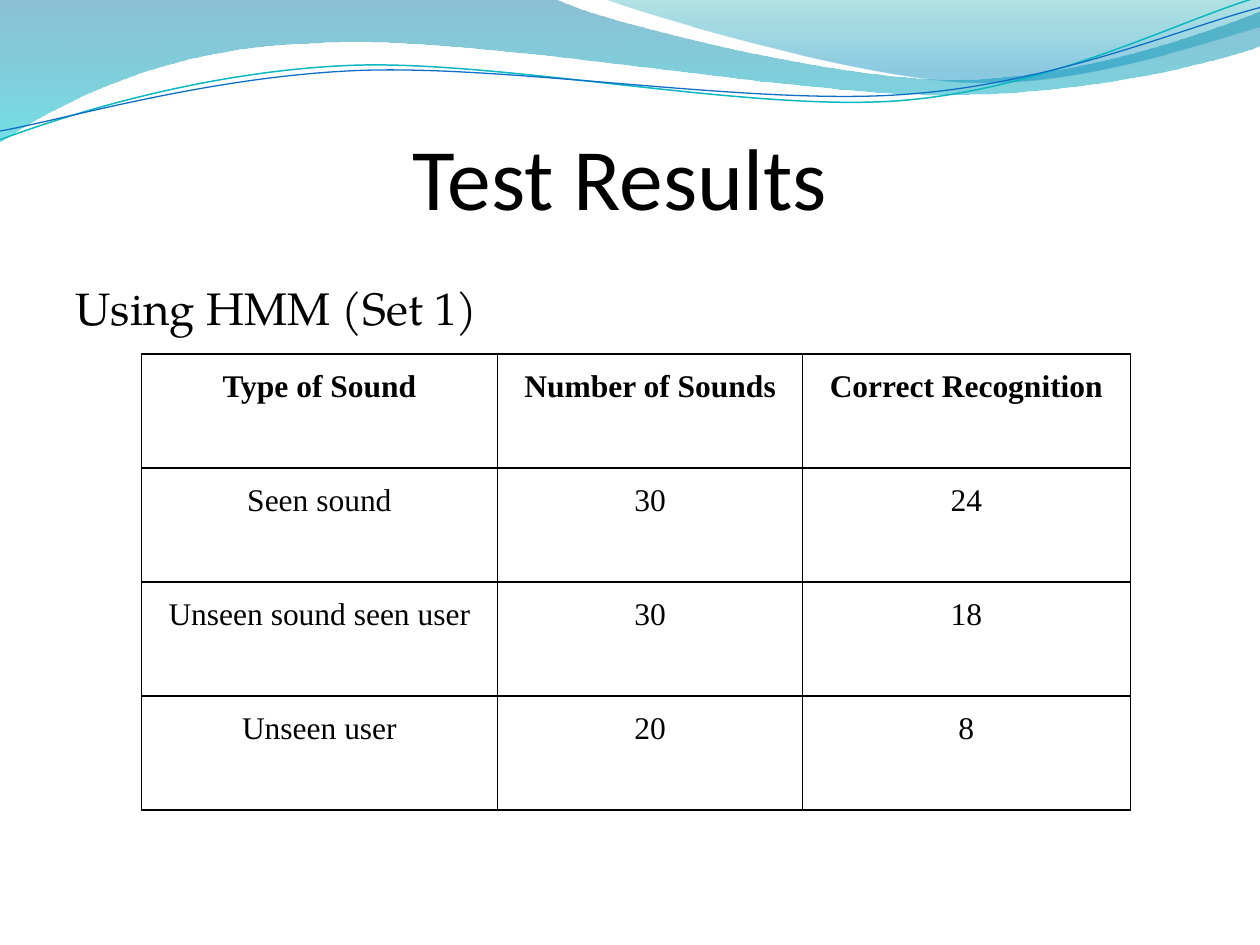
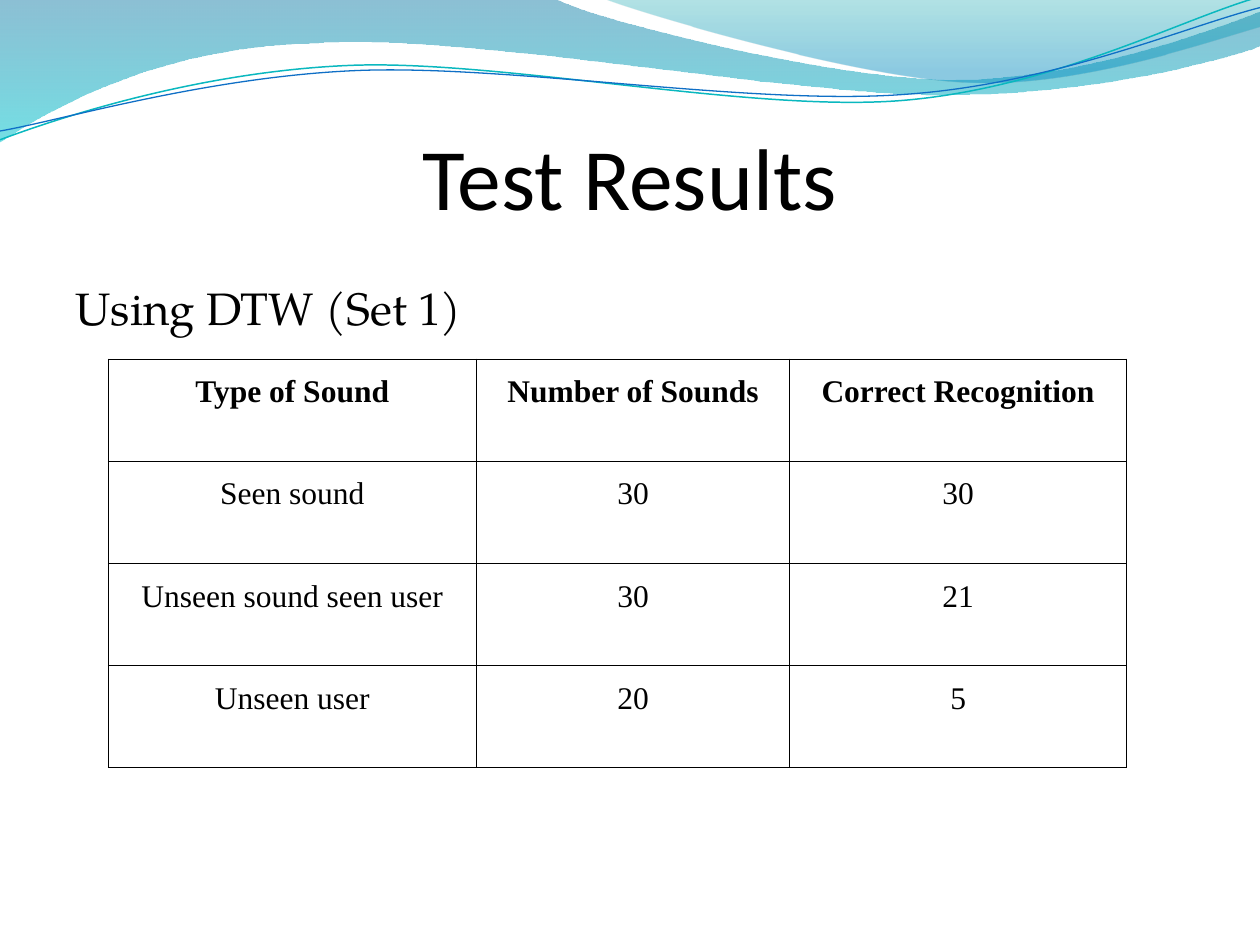
from math import cos, radians, sin

from lxml.etree import SubElement
from pptx import Presentation
from pptx.dml.color import RGBColor
from pptx.enum.text import MSO_ANCHOR, PP_ALIGN
from pptx.oxml.ns import qn
from pptx.util import Inches, Pt

COLORS = {
    "text": "000000",
    "deep blue": "0074A1",
    "aqua": "00C6CF",
    "teal": "00A1A9",
    "sky": "008BBF",
    "teal line": "0AB8BF",
    "blue line": "0F6FC6",
}

# Each outline starts at a point; a pair is a line, six numbers are a cubic curve.
# Gradient stops are position, colour and opacity in percent.
BANDS = [
    {"box": (-0.01, -0.01, 10.02, 1.14), "rotation": 0,
     "outline": [(0, 0), (4.4, -0.01), (4.76, 0.17, 6.64, 0.63, 7.58, 0.63),
                 (8.53, 0.63, 9.58, 0.26, 10, 0.09), (10.01, 0.36),
                 (9.83, 0.44, 8.7, 0.76, 7.46, 0.75),
                 (6.22, 0.75, 3.82, 0.28, 2.57, 0.34),
                 (1.29, 0.36, 0.46, 0.83, -0.01, 1.13), (0, 0)],
     "stops": [(0, "deep blue", 45), (1, "aqua", 55)]},
    {"box": (4.79, -0.01, 5.21, 0.7), "rotation": 0,
     "outline": [(4.79, -0.01), (5.09, 0.11, 6.82, 0.62, 7.69, 0.65),
                 (8.56, 0.69, 9.61, 0.32, 10, 0.21), (10, 0), (4.79, -0.01)],
     "stops": [(0, "teal", 30), (0.8, "sky", 45)]},
    {"box": (-0.02, 0.22, 10.02, 0.71), "rotation": -2.7,
     "outline": [(0, 1.11), (0.48, 0.93, 1.58, 0.57, 2.77, 0.52),
                 (3.95, 0.47, 5.93, 0.89, 7.13, 0.8),
                 (8.33, 0.71, 9.38, 0.15, 9.98, -0.02)],
     "line": ("teal line", 0.85)},
    {"box": (-0.02, 0.3, 10.03, 0.58), "rotation": -2.7,
     "outline": [(0, 1.04), (0.47, 0.96, 1.64, 0.61, 2.83, 0.56),
                 (4.03, 0.51, 5.97, 0.84, 7.17, 0.75),
                 (8.36, 0.67, 9.41, 0.21, 10, 0.06)],
     "line": ("blue line", 0.75)},
]

HEADER = ("Type of Sound", "Number of Sounds", "Correct Recognition")
SOUNDS = [("Seen sound", 30), ("Unseen sound seen user", 30), ("Unseen user", 20)]
RESULTS = [
    {"title": "Test Results ", "method": "Using HMM (Set 1)", "correct": (24, 18, 8),
     "left": 1.12, "top": 2.81, "columns": (2.83, 2.42, 2.6), "height": 3.62},
    {"title": "Test Results", "method": "Using DTW (Set 1)", "correct": (30, 21, 5),
     "left": 0.86, "top": 2.85, "columns": (2.92, 2.49, 2.67), "height": 3.24},
]


def add_curved_shape(slide, band):
    """Add a freeform whose segments may be cubic curves, given as slide positions."""
    left, top, width, height = band["box"]
    angle = radians(-band["rotation"])
    corners = [(Inches(x), Inches(y)) for *_, x, y in band["outline"]]
    builder = slide.shapes.build_freeform(*corners[0])
    builder.add_line_segments(corners[1:], close="stops" in band)
    shape = builder.convert_to_shape()
    shape.left, shape.top = Inches(left), Inches(top)
    shape.width, shape.height = Inches(width), Inches(height)
    shape.rotation = band["rotation"]

    outline_path = next(shape._element.iter(qn("a:path")))
    outline_path.set("w", str(shape.width))
    outline_path.set("h", str(shape.height))
    for command, segment in zip(outline_path, band["outline"]):
        for point in list(command):
            command.remove(point)
        if len(segment) == 6:
            command_curve = outline_path.makeelement(qn("a:cubicBezTo"))
            outline_path.replace(command, command_curve)
            command = command_curve
        for x, y in zip(segment[::2], segment[1::2]):
            across, down = x - left - width / 2, y - top - height / 2
            SubElement(command, qn("a:pt"),
                       x=str(Inches(across * cos(angle) - down * sin(angle) + width / 2)),
                       y=str(Inches(across * sin(angle) + down * cos(angle) + height / 2)))
    return shape


def write_text(text_frame, text, font_name, size, alignment, bold=False):
    paragraph = text_frame.paragraphs[0]
    paragraph.text = text
    paragraph.alignment = alignment
    paragraph.font.name = font_name
    paragraph.font.size = Pt(size)
    paragraph.font.bold = bold
    paragraph.font.color.rgb = RGBColor.from_string(COLORS["text"])
    return paragraph


presentation = Presentation()
presentation.slide_width = Inches(10)
presentation.slide_height = Inches(7.5)

for result in RESULTS:
    slide = presentation.slides.add_slide(presentation.slide_layouts[6])

    for band in BANDS:
        shape = add_curved_shape(slide, band)
        shape.shadow.inherit = False
        if "stops" in band:
            shape.line.fill.background()
            shape.fill.gradient()
            shape.fill.gradient_angle = 270
            for stop, (position, color, _) in zip(shape.fill.gradient_stops, band["stops"]):
                stop.position = position
                stop.color.rgb = RGBColor.from_string(COLORS[color])
            stop_colors = shape._element.spPr.iter(qn("a:srgbClr"))
            for stop_color, (_, _, opacity) in zip(stop_colors, band["stops"]):
                SubElement(stop_color, qn("a:alpha"), val=str(opacity * 1000))
        else:
            color, width = band["line"]
            shape.fill.background()
            shape.line.color.rgb = RGBColor.from_string(COLORS[color])
            shape.line.width = Pt(width)

    for text, top, height, font_name, size, alignment, anchor, space_before in (
        (result["title"], 0.77, 1.25, "Calibri", 50, PP_ALIGN.CENTER, MSO_ANCHOR.MIDDLE, 0),
        (result["method"], 2.12, 4.8, "TeX Gyre Pagella", 26, PP_ALIGN.LEFT, MSO_ANCHOR.TOP, 3.4),
    ):
        text_box = slide.shapes.add_textbox(Inches(0.5), Inches(top), Inches(9), Inches(height))
        text_frame = text_box.text_frame
        text_frame.word_wrap = True
        text_frame.vertical_anchor = anchor
        text_frame.margin_top = text_frame.margin_bottom = Inches(0.1)
        paragraph = write_text(text_frame, text, font_name, size, alignment)
        paragraph.space_before = Pt(space_before)

    rows = [HEADER] + [(*sound, correct) for sound, correct in zip(SOUNDS, result["correct"])]
    table = slide.shapes.add_table(
        len(rows), len(HEADER), Inches(result["left"]), Inches(result["top"]),
        Inches(sum(result["columns"])), Inches(result["height"])).table
    table.first_row = False
    table.horz_banding = False
    for column, width in zip(table.columns, result["columns"]):
        column.width = Inches(width)
    for row_index, row in enumerate(rows):
        for column_index, value in enumerate(row):
            cell = table.cell(row_index, column_index)
            cell.margin_left = cell.margin_right = Inches(0.07)
            cell.margin_top = cell.margin_bottom = Inches(0.07)
            paragraph = write_text(cell.text_frame, str(value), "Times New Roman", 18,
                                   PP_ALIGN.CENTER, bold=row_index == 0)
            paragraph.line_spacing = 1.2
            properties = cell._tc.get_or_add_tcPr()
            for side in ("lnL", "lnR", "lnT", "lnB"):
                border = SubElement(properties, qn(f"a:{side}"), w=str(Pt(0.75)))
                border_fill = SubElement(border, qn("a:solidFill"))
                SubElement(border_fill, qn("a:srgbClr"), val=COLORS["text"])
            cell.fill.background()

presentation.save("out.pptx")
